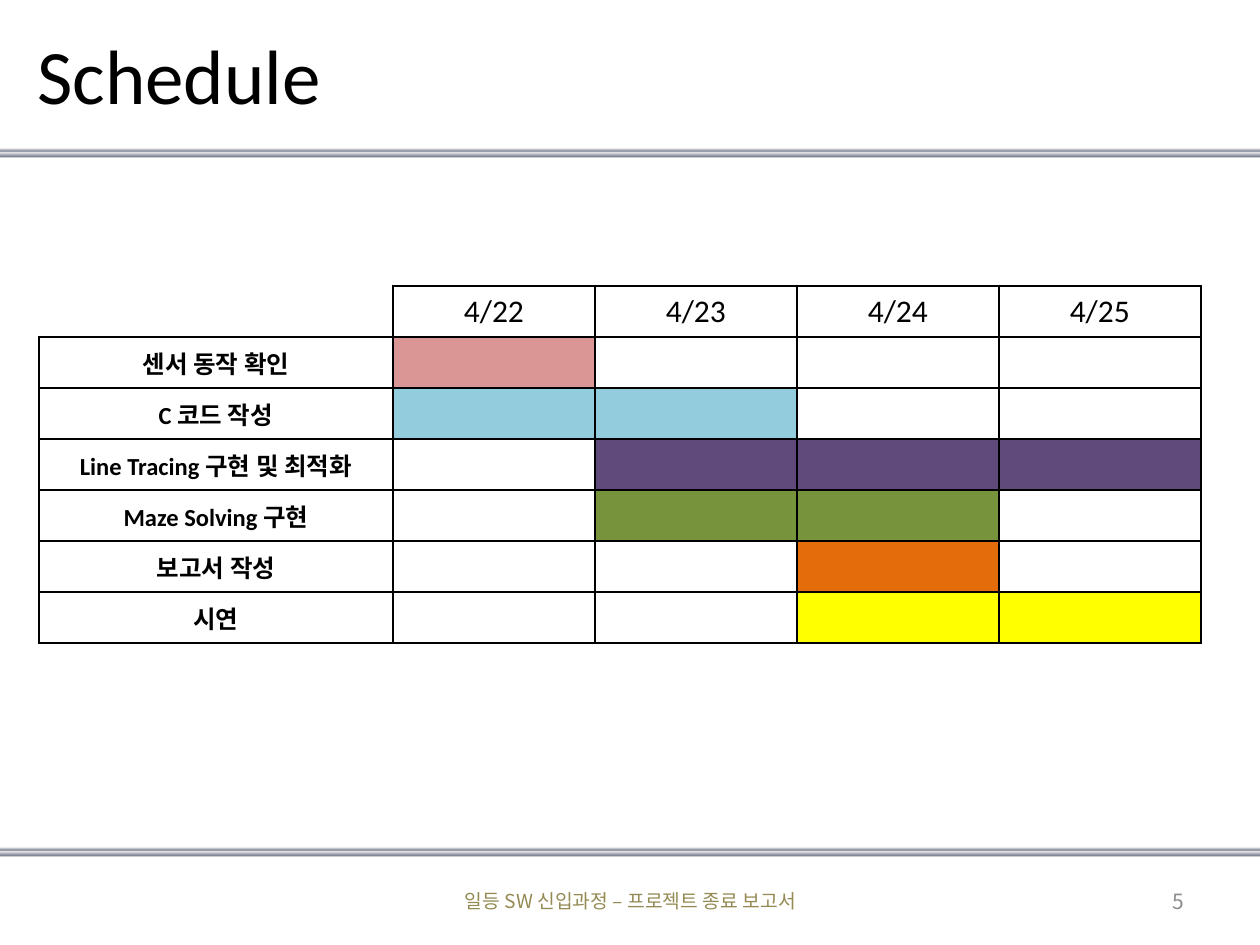
from lxml import etree
from pptx import Presentation
from pptx.dml.color import RGBColor
from pptx.enum.shapes import MSO_SHAPE
from pptx.enum.text import MSO_ANCHOR, PP_ALIGN
from pptx.oxml.ns import qn
from pptx.util import Emu, Pt

RECTANGLE = MSO_SHAPE.RECTANGLE
MIDDLE = MSO_ANCHOR.MIDDLE
LEFT, CENTER, RIGHT = PP_ALIGN.LEFT, PP_ALIGN.CENTER, PP_ALIGN.RIGHT

EMU_PER_PX = 914400 // 126
SLIDE_WIDTH, SLIDE_HEIGHT = 1260, 945

BLACK = RGBColor(0x00, 0x00, 0x00)
WHITE = RGBColor(0xFF, 0xFF, 0xFF)
LIGHT_GRAY = RGBColor(0xE6, 0xE6, 0xE6)
STEEL = RGBColor(0x7D, 0x84, 0x96)
PAGE_GRAY = RGBColor(0x8C, 0x8C, 0x8C)
KHAKI = RGBColor(0x94, 0x8A, 0x54)
PINK = RGBColor(0xD9, 0x96, 0x94)
SKY = RGBColor(0x93, 0xCD, 0xDD)
PURPLE = RGBColor(0x60, 0x4A, 0x7B)
GREEN = RGBColor(0x77, 0x93, 0x3C)
ORANGE = RGBColor(0xE4, 0x6C, 0x0A)
YELLOW = RGBColor(0xFF, 0xFF, 0x00)

LATIN_FONT, KOREAN_FONT = "Calibri", "Noto Sans CJK KR"
BAR_STOPS = [(0, WHITE), (7, LIGHT_GRAY), (32, STEEL),
             (47, LIGHT_GRAY), (85, STEEL), (100, LIGHT_GRAY)]

DAYS = ["4/22", "4/23", "4/24", "4/25"]
# Task, colour, first and last day as positions in DAYS
TASKS = [
    ("센서 동작 확인", PINK, 0, 0),
    ("C 코드 작성", SKY, 0, 1),
    ("Line Tracing 구현 및 최적화", PURPLE, 1, 3),
    ("Maze Solving 구현", GREEN, 1, 2),
    ("보고서 작성", ORANGE, 2, 2),
    ("시연", YELLOW, 2, 3),
]
TASK_WIDTH, DAY_WIDTH, ROW_HEIGHT = 354, 202, 51


def px(*lengths):
    return [Emu(length * EMU_PER_PX) for length in lengths]


def add_color(parent, color):
    etree.SubElement(parent, qn("a:srgbClr"), val=str(color))


class SlideBuilder:
    def __init__(self, slide):
        self.slide = slide

    def add_run(self, paragraph, text, size, color=BLACK, font=LATIN_FONT, bold=False):
        run = paragraph.add_run()
        run.text = text
        run.font.name = font
        run.font.size = Pt(size)
        run.font.bold = bold
        run.font.color.rgb = color
        etree.SubElement(run.font._element, qn("a:ea"), typeface=KOREAN_FONT)

    def add_text(self, text, box, size, color, font, align, indent=0):
        frame = self.slide.shapes.add_textbox(*px(*box)).text_frame
        frame.word_wrap = True
        frame.vertical_anchor = MIDDLE
        paragraph = frame.paragraphs[0]
        paragraph.alignment = align
        if indent:
            paragraph._p.get_or_add_pPr().set("marL", str(indent * EMU_PER_PX))
        self.add_run(paragraph, text, size, color, font)

    def add_bar(self, top):
        bar = self.slide.shapes.add_shape(RECTANGLE, *px(0, top, SLIDE_WIDTH, 10))
        bar.shadow.inherit = False
        bar.line.fill.background()
        bar.fill.gradient()
        bar.fill.gradient_angle = 270
        stops = bar._element.spPr.find(".//" + qn("a:gsLst"))
        stops.clear()
        for percent, color in BAR_STOPS:
            add_color(etree.SubElement(stops, qn("a:gs"), pos=str(percent * 1000)), color)

    def style_cell(self, cell, fill, sides="LRTB"):
        properties = cell._tc.get_or_add_tcPr()
        for side in sides:
            line = etree.SubElement(properties, qn(f"a:ln{side}"), w=str(Pt(1.5)))
            add_color(etree.SubElement(line, qn("a:solidFill")), BLACK)
        cell.fill.solid()
        cell.fill.fore_color.rgb = fill
        cell.vertical_anchor = MIDDLE
        cell.margin_top, cell.margin_bottom = px(3, 3)
        cell.text_frame.paragraphs[0].alignment = CENTER

    def add_schedule(self, left, top):
        row_count, column_count = len(TASKS) + 1, len(DAYS) + 1
        size = (TASK_WIDTH + DAY_WIDTH * len(DAYS), ROW_HEIGHT * row_count)
        table = self.slide.shapes.add_table(
            row_count, column_count, *px(left, top, *size)).table
        table.first_row = table.horz_banding = False
        for index, column in enumerate(table.columns):
            column.width, = px(DAY_WIDTH if index else TASK_WIDTH)
        for row in table.rows:
            row.height, = px(ROW_HEIGHT)

        self.style_cell(table.cell(0, 0), WHITE, sides="RB")
        for column, day in enumerate(DAYS, 1):
            cell = table.cell(0, column)
            self.style_cell(cell, WHITE)
            self.add_run(cell.text_frame.paragraphs[0], day, 18)
        for row, (task, color, first, last) in enumerate(TASKS, 1):
            cell = table.cell(row, 0)
            self.style_cell(cell, WHITE)
            self.add_run(cell.text_frame.paragraphs[0], task, 14, bold=True)
            for day in range(len(DAYS)):
                fill = color if first <= day <= last else WHITE
                self.style_cell(table.cell(row, day + 1), fill)


def main():
    presentation = Presentation()
    presentation.slide_width, presentation.slide_height = px(SLIDE_WIDTH, SLIDE_HEIGHT)
    builder = SlideBuilder(presentation.slides.add_slide(presentation.slide_layouts[6]))

    for top in (148, 847):
        builder.add_bar(top)
    builder.add_text("Schedule", (0, 0, SLIDE_WIDTH, 148), 44, BLACK, LATIN_FONT, LEFT, indent=25)
    builder.add_schedule(39, 286)
    builder.add_text("일등 SW 신입과정 – 프로젝트 종료 보고서", (431, 876, 399, 50),
                     11, KHAKI, KOREAN_FONT, CENTER)
    builder.add_text("5", (903, 876, 294, 50), 12, PAGE_GRAY, KOREAN_FONT, RIGHT)

    presentation.save("out.pptx")


if __name__ == "__main__":
    main()
